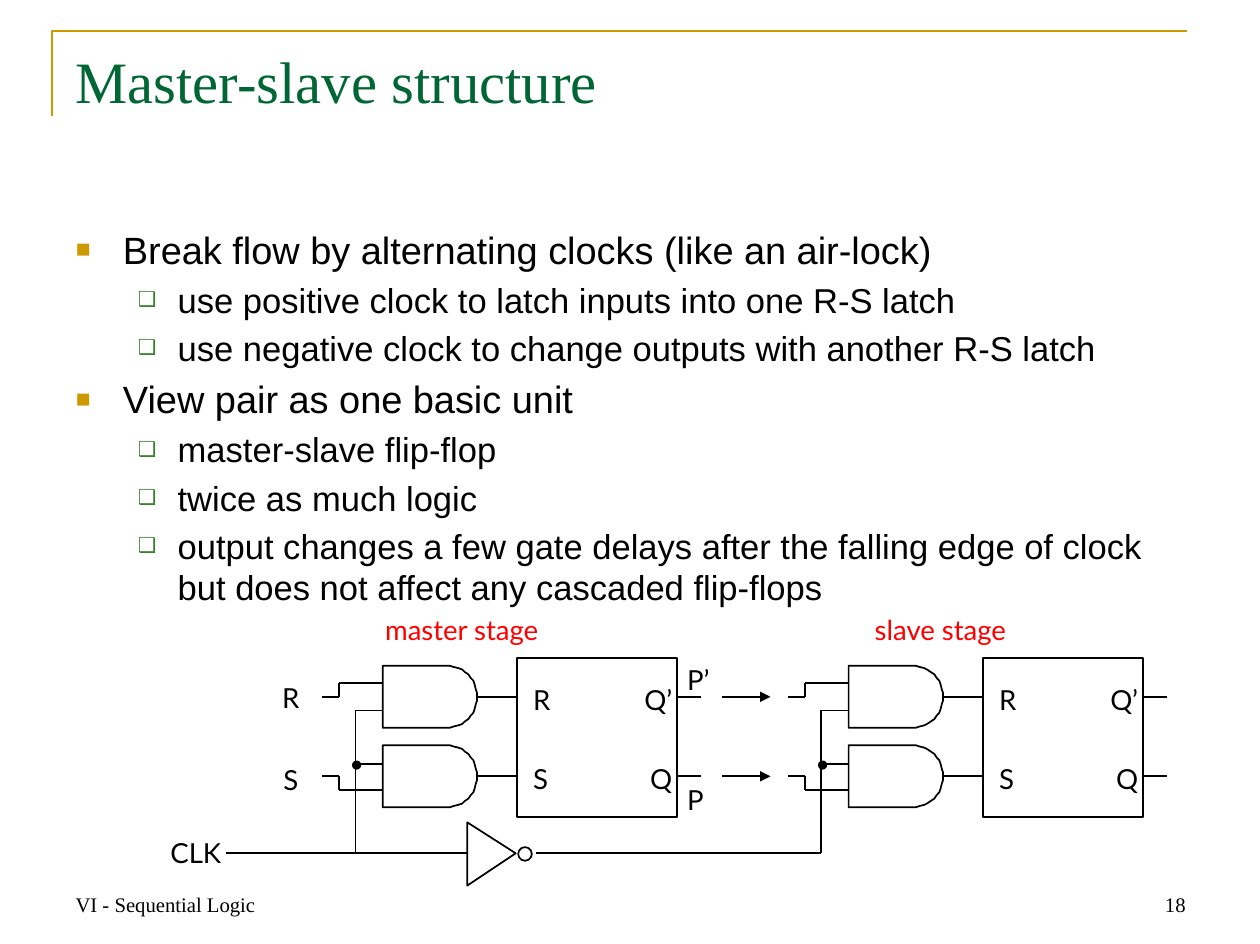
from dataclasses import dataclass
from itertools import pairwise
from math import cos, pi, sin

from lxml.etree import SubElement
from pptx import Presentation
from pptx.dml.color import RGBColor
from pptx.enum.shapes import MSO_CONNECTOR, MSO_SHAPE
from pptx.enum.text import MSO_ANCHOR, MSO_AUTO_SIZE, PP_ALIGN
from pptx.oxml.ns import qn
from pptx.util import Pt

SCALE = 9144


@dataclass(frozen=True)
class Theme:
    serif: str = "Times New Roman"
    sans: str = "Arial"
    label: str = "Lato"
    ink: str = "000000"
    paper: str = "FFFFFF"
    gold: str = "CC9900"
    title: str = "006633"
    leaf: str = "3B812F"
    stage: str = "FF0000"
    title_size: int = 34
    body_sizes: tuple = (22, 20)
    label_size: int = 16
    footer_size: int = 12
    wire_width: float = 1
    frame_width: float = 1.5


def px(*lengths):
    return [length * SCALE for length in lengths]


def write(para, text, *, font, size, color, align=PP_ALIGN.LEFT, spacing=None):
    para.alignment = align
    if spacing:
        para.line_spacing = Pt(spacing)
    span = para.add_run()
    span.text = text
    span.font.name = font
    span.font.size = Pt(size)
    span.font.color.rgb = RGBColor.from_string(color)


class SlideBuilder:
    def __init__(self, slide, theme):
        self.slide = slide
        self.shapes = slide.shapes
        self.theme = theme

    def place(self, box, left, top, width, height):
        box.left, box.top, box.width, box.height = px(left, top, width, height)

    def paint(self, shape, fill, line, width):
        shape.shadow.inherit = False
        if fill:
            shape.fill.solid()
            shape.fill.fore_color.rgb = RGBColor.from_string(fill)
        else:
            shape.fill.background()
        shape.line.color.rgb = RGBColor.from_string(line)
        shape.line.width = Pt(width)

    def title(self, text, bounds):
        box = self.shapes.title
        self.place(box, *bounds)
        frame = box.text_frame
        frame.vertical_anchor = MSO_ANCHOR.TOP
        frame.auto_size = MSO_AUTO_SIZE.NONE
        theme = self.theme
        write(frame.paragraphs[0], text, font=theme.serif, size=theme.title_size, color=theme.title)

    def bullets(self, items, bounds):
        box = self.slide.placeholders[1]
        self.place(box, *bounds)
        frame = box.text_frame
        frame.auto_size = MSO_AUTO_SIZE.NONE
        theme = self.theme
        styles = (("■", theme.gold, 65, 38, 38), ("❑", theme.leaf, 60, 82, 32))
        for index, (level, text) in enumerate(items):
            para = frame.add_paragraph() if index else frame.paragraphs[0]
            para.level = level
            write(para, text, font=theme.sans, size=theme.body_sizes[level], color=theme.ink)
            mark, color, percent, margin, hanging = styles[level]
            properties = para._p.get_or_add_pPr()
            properties.set("marL", str(margin * SCALE))
            properties.set("indent", str(-hanging * SCALE))
            SubElement(SubElement(properties, qn("a:buClr")), qn("a:srgbClr"), val=color)
            SubElement(properties, qn("a:buSzPct"), val=str(percent * 1000))
            SubElement(properties, qn("a:buFont"), typeface=theme.sans)
            SubElement(properties, qn("a:buChar"), char=mark)

    def footer(self, text, left, align=PP_ALIGN.LEFT):
        frame = self.shapes.add_textbox(*px(left, 692, 237, 51)).text_frame
        frame.word_wrap = True
        frame.vertical_anchor = MSO_ANCHOR.BOTTOM
        theme = self.theme
        write(frame.paragraphs[0], text, font=theme.serif, size=theme.footer_size,
              color=theme.ink, align=align)

    def label(self, text, left, top, width, *, color=None, align=PP_ALIGN.LEFT, spacing=21):
        frame = self.shapes.add_textbox(*px(left, top, width, 43)).text_frame
        frame.word_wrap = True
        frame.margin_left, frame.margin_top, frame.margin_right, frame.margin_bottom = px(2, 3, 2, 3)
        theme = self.theme
        write(frame.paragraphs[0], text, font=theme.label, size=theme.label_size,
              color=color or theme.ink, align=align, spacing=spacing)

    def wire(self, *points, arrow=False):
        for start, end in pairwise(points):
            line = self.shapes.add_connector(MSO_CONNECTOR.STRAIGHT, *px(*start, *end))
            line.line.color.rgb = RGBColor.from_string(self.theme.ink)
            line.line.width = Pt(self.theme.wire_width)
            properties = line._element.spPr
            if arrow:
                SubElement(properties.find(qn("a:ln")), qn("a:tailEnd"), type="triangle")
            SubElement(properties, qn("a:effectLst"))

    def preset(self, kind, left, top, width, height, fill):
        shape = self.shapes.add_shape(kind, *px(left, top, width, height))
        self.paint(shape, fill, self.theme.ink, self.theme.wire_width)

    def outline(self, points, *, fill=None, line=None, width=None, close=True):
        builder = self.shapes.build_freeform(*points[0], scale=SCALE)
        builder.add_line_segments(points[1:], close=close)
        shape = builder.convert_to_shape()
        self.paint(shape, fill, line or self.theme.ink, width or self.theme.wire_width)

    def and_gate(self, left, middle):
        radius, straight, steps = 25, 51, 24
        angles = [pi * step / steps - pi / 2 for step in range(steps + 1)]
        arc = [(left + straight + radius * cos(angle), middle + radius * sin(angle))
               for angle in angles]
        self.outline([(left, middle - radius), *arc, (left, middle + radius)],
                     fill=self.theme.paper)

    def stage(self, name, left, name_left):
        input_r, input_s, clock = 561, 625, left + 27
        gate, latch, bend = left + 49, left + 157, left + 14
        self.label(name, name_left, 488, 200, color=self.theme.stage)
        self.preset(MSO_SHAPE.RECTANGLE, latch, 530, 129, 128, self.theme.paper)
        rows = ((input_r, -11, 11, "R", "Q’"), (input_s, 11, -10, "S", "Q"))
        for row, data_shift, clock_shift, data, output in rows:
            self.and_gate(gate, row)
            self.wire((left, row), (bend, row), (bend, row + data_shift), (gate, row + data_shift))
            self.wire((clock, row + clock_shift), (gate, row + clock_shift))
            self.wire((gate + 76, row), (latch, row))
            self.wire((latch + 129, row), (latch + 148, row))
            self.label(data, latch + 11, row - 17, 40)
            self.label(output, latch + 67, row - 17, 60, align=PP_ALIGN.RIGHT)
        self.wire((clock, input_r + 11), (clock, 687))
        self.preset(MSO_SHAPE.OVAL, clock - 2, 613, 6, 6, self.theme.ink)

    def inverter(self, left, middle):
        self.outline([(left, middle - 25), (left + 39, middle), (left, middle + 26)],
                     fill=self.theme.paper)
        self.preset(MSO_SHAPE.OVAL, left + 41, middle - 5, 11, 11, self.theme.paper)


def main():
    deck = Presentation()
    deck.slide_width, deck.slide_height = px(1014, 760)
    theme = Theme()
    page = SlideBuilder(deck.slides.add_slide(deck.slide_layouts[1]), theme)

    page.outline([(42, 93), (42, 25), (955, 25)], line=theme.gold,
                 width=theme.frame_width, close=False)
    page.title("Master-slave structure", (51, 31, 912, 126))
    page.bullets([
        (0, "Break flow by alternating clocks (like an air-lock)"),
        (1, "use positive clock to latch inputs into one R-S latch"),
        (1, "use negative clock to change outputs with another R-S latch"),
        (0, "View pair as one basic unit"),
        (1, "master-slave flip-flop"),
        (1, "twice as much logic"),
        (1, "output changes a few gate delays after the falling edge of clock "
            "but does not affect any cascaded flip-flops"),
    ], (51, 177, 912, 502))
    page.footer("VI - Sequential Logic", 51)
    page.footer("18", 727, PP_ALIGN.RIGHT)

    page.stage("master stage", 259, 308)
    page.stage("slave stage", 634, 702)
    for row in (561, 625):
        page.wire((581, row), (620, row), arrow=True)
    page.label("P’", 551, 528, 72)
    page.label("P", 551, 625, 64)
    page.label("R", 225, 541, 30, spacing=22)
    page.label("S", 226, 607, 30, spacing=22)
    page.label("CLK", 76, 666, 104, align=PP_ALIGN.RIGHT, spacing=22)

    page.wire((182, 687), (376, 687))
    page.inverter(376, 687)
    page.wire((431, 687), (661, 687))
    deck.save("out.pptx")


if __name__ == "__main__":
    main()
